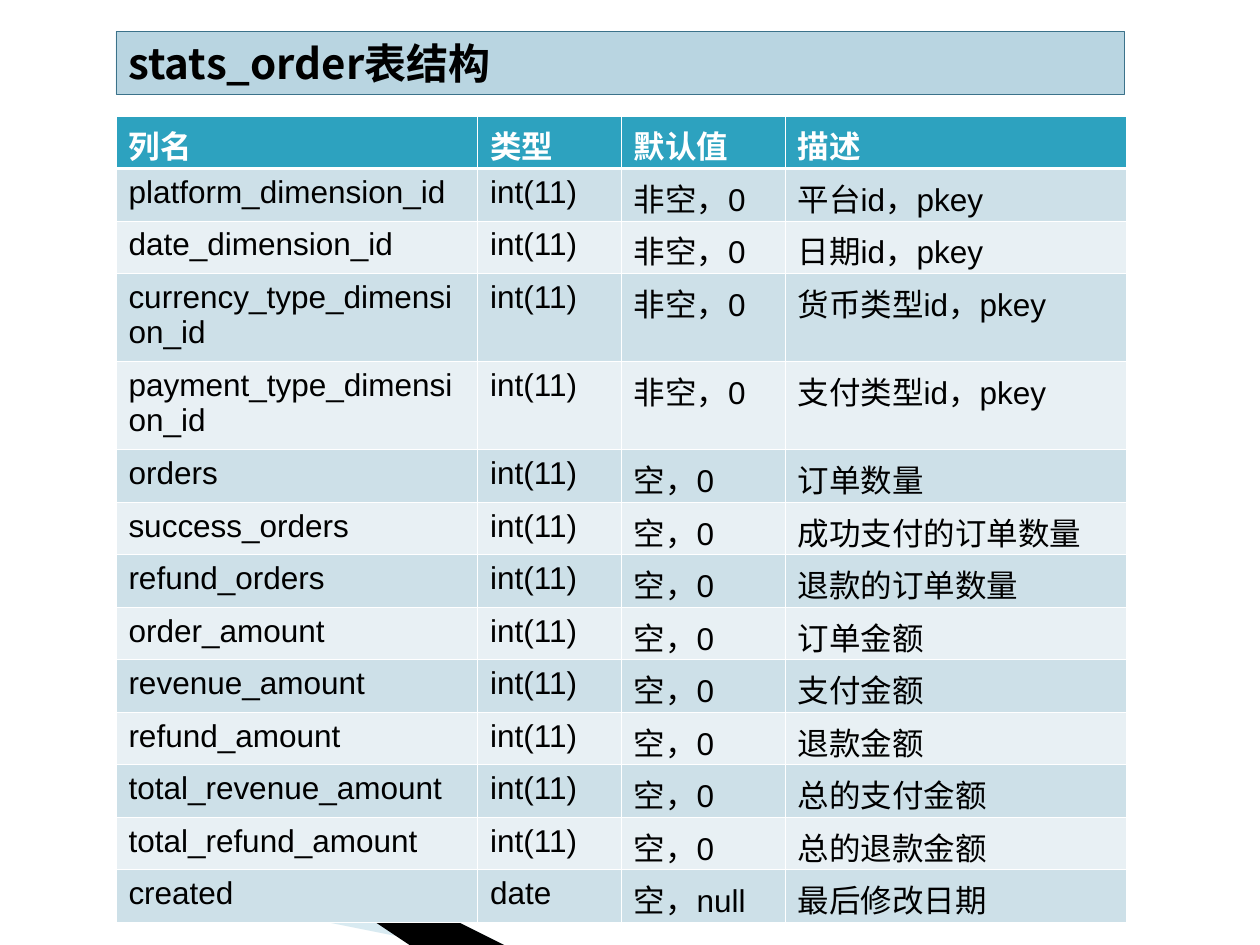
from lxml.etree import SubElement
from pptx import Presentation
from pptx.dml.color import RGBColor
from pptx.enum.shapes import MSO_SHAPE
from pptx.enum.text import MSO_ANCHOR, PP_ALIGN
from pptx.oxml import parse_xml
from pptx.oxml.ns import nsdecls, qn
from pptx.util import Inches, Pt

COLORS = {
    "title_fill": "B9D5E1", "title_line": "3B728A", "header": "2DA2BF",
    "band_dark": "CDE0E8", "band_light": "E8F0F4", "wave": "9FCBDC",
    "black": "000000", "white": "FFFFFF",
}
LATIN, CJK = "Arial", "Noto Sans CJK SC"
SLIDE_W, SLIDE_H = 10, 7.5
LEFT = 0.92
COL_WIDTHS = (2.87, 1.14, 1.30, 2.71)
TABLE_H, TALL_ROW = 6.4, 0.7
TALL_ROWS = (3, 4)
THIN, THICK = 0.45, 1.47

HEADER = ("列名", "类型", "默认值", "描述")
FIELDS = [
    ("platform_dimension_id", "int(11)", "非空，0", "平台id，pkey"),
    ("date_dimension_id", "int(11)", "非空，0", "日期id，pkey"),
    ("currency_type_dimension_id", "int(11)", "非空，0", "货币类型id，pkey"),
    ("payment_type_dimension_id", "int(11)", "非空，0", "支付类型id，pkey"),
    ("orders", "int(11)", "空，0", "订单数量"),
    ("success_orders", "int(11)", "空，0", "成功支付的订单数量"),
    ("refund_orders", "int(11)", "空，0", "退款的订单数量"),
    ("order_amount", "int(11)", "空，0", "订单金额"),
    ("revenue_amount", "int(11)", "空，0", "支付金额"),
    ("refund_amount", "int(11)", "空，0", "退款金额"),
    ("total_revenue_amount", "int(11)", "空，0", "总的支付金额"),
    ("total_refund_amount", "int(11)", "空，0", "总的退款金额"),
    ("created", "date", "空，null", "最后修改日期"),
]
WAVES = [
    ("wave", 40, [(0.55, 6.51), (5.95, 7.5), (4.56, 7.5), (0.55, 6.5)]),
    ("black", 100, [(0.53, 6.49), (4.57, 7.5), (3.72, 7.5), (0.54, 6.5)]),
]


def rgb(name):
    return RGBColor.from_string(COLORS[name])


def paint(obj, name):
    obj.fill.solid()
    obj.fill.fore_color.rgb = rgb(name)


def write(tf, text, color, latin=LATIN, **font):
    tf.word_wrap = True
    p = tf.paragraphs[0]
    p.alignment = PP_ALIGN.LEFT
    r = p.add_run()
    r.text = text
    for key, value in {"name": latin, **font}.items():
        setattr(r.font, key, value)
    r.font.color.rgb = rgb(color)
    SubElement(r.font._element, qn("a:ea"), typeface=CJK)


def set_borders(cell, **widths):
    """Draw white borders; widths are points keyed by side: L, R, T, B."""
    tc_pr = cell._tc.get_or_add_tcPr()
    for i, side in enumerate("LRTB"):
        tc_pr.insert(i, parse_xml(
            f'<a:ln{side} {nsdecls("a")} w="{Pt(widths.get(side, THIN))}">'
            f'<a:solidFill><a:srgbClr val="{COLORS["white"]}"/></a:solidFill>'
            f'</a:ln{side}>'))


def add_waves(s):
    for color, opacity, points in WAVES:
        start, *rest = points
        builder = s.shapes.build_freeform(*start, scale=Inches(1))
        builder.add_line_segments(rest)
        sp = builder.convert_to_shape()
        sp.shadow.inherit = False
        paint(sp, color)
        sp.line.fill.background()
        if opacity < 100:
            clr = sp._element.spPr.find(".//" + qn("a:srgbClr"))
            SubElement(clr, qn("a:alpha"), val=str(opacity * 1000))


def add_title(s, x, y, w, h):
    sp = s.shapes.add_shape(MSO_SHAPE.RECTANGLE, *map(Inches, (x, y, w, h)))
    sp.shadow.inherit = False
    paint(sp, "title_fill")
    sp.line.color.rgb = rgb("title_line")
    sp.line.width = Pt(0.25)
    sp.text_frame.vertical_anchor = MSO_ANCHOR.MIDDLE
    write(sp.text_frame, "stats_order表结构", "black", latin=CJK,
          size=Pt(24), bold=True)


def add_field_table(s, x, y, w, h):
    rows = [HEADER, *FIELDS]
    table = s.shapes.add_table(len(rows), len(HEADER),
                               *map(Inches, (x, y, w, h))).table
    for column, share in zip(table.columns, COL_WIDTHS):
        column.width = Inches(w * share / sum(COL_WIDTHS))
    plain_row = (h - TALL_ROW * len(TALL_ROWS)) / (len(rows) - len(TALL_ROWS))
    for i, values in enumerate(rows):
        table.rows[i].height = Inches(TALL_ROW if i in TALL_ROWS else plain_row)
        is_header = i == 0
        fill = "header" if is_header else ("band_light", "band_dark")[i % 2]
        edges = {0: {"B": THICK}, 1: {"T": THICK}}.get(i, {})
        for j, text in enumerate(values):
            cell = table.cell(i, j)
            cell.margin_bottom = 0
            paint(cell, fill)
            set_borders(cell, **edges)
            write(cell.text_frame, text, "white" if is_header else "black",
                  size=Pt(18), bold=is_header)


def main():
    prs = Presentation()
    prs.slide_width, prs.slide_height = Inches(SLIDE_W), Inches(SLIDE_H)
    s = prs.slides.add_slide(prs.slide_layouts[6])
    add_waves(s)
    add_title(s, LEFT, 0.25, 8, 0.5)
    add_field_table(s, LEFT, 0.92, sum(COL_WIDTHS), TABLE_H)
    prs.save("out.pptx")


if __name__ == "__main__":
    main()
